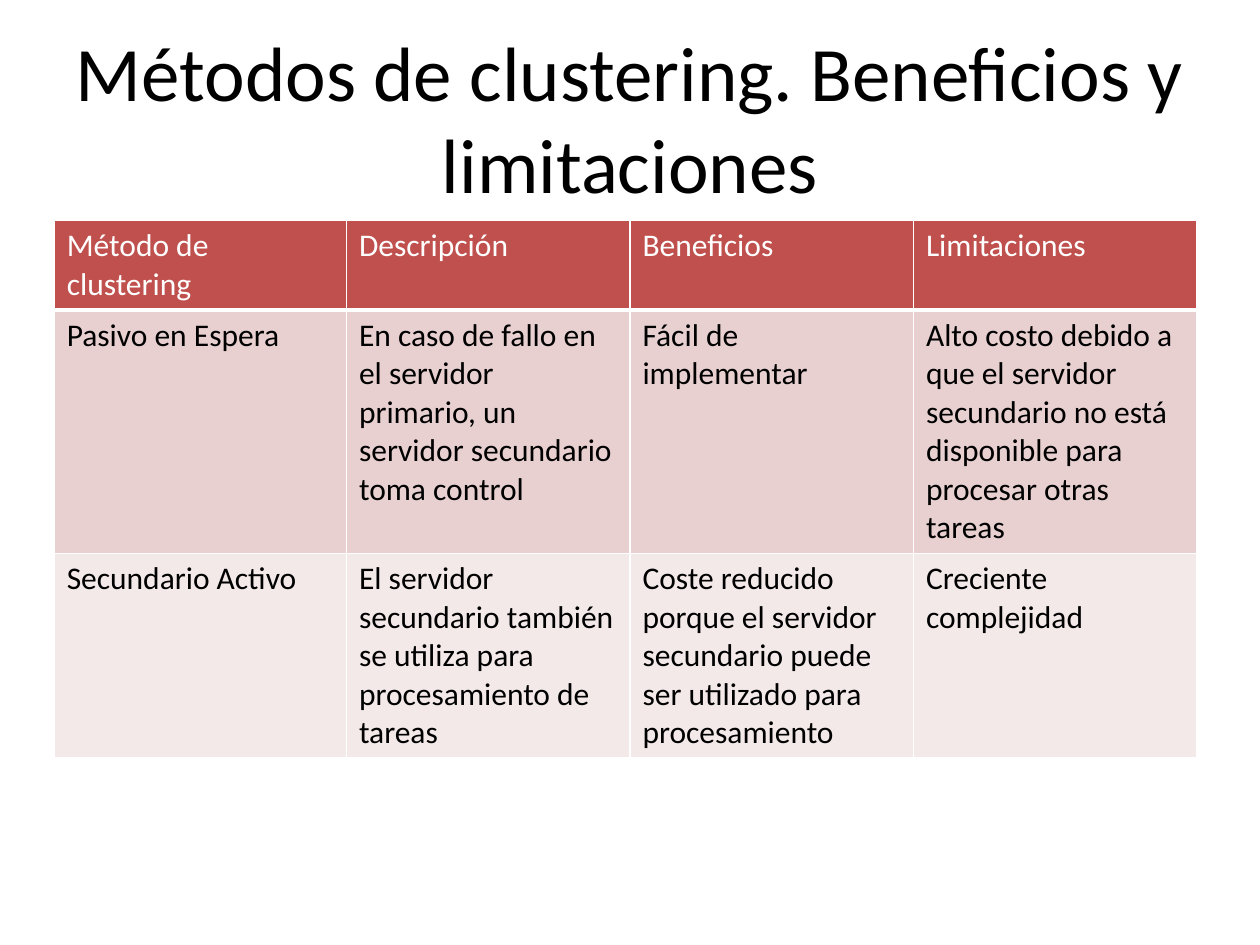
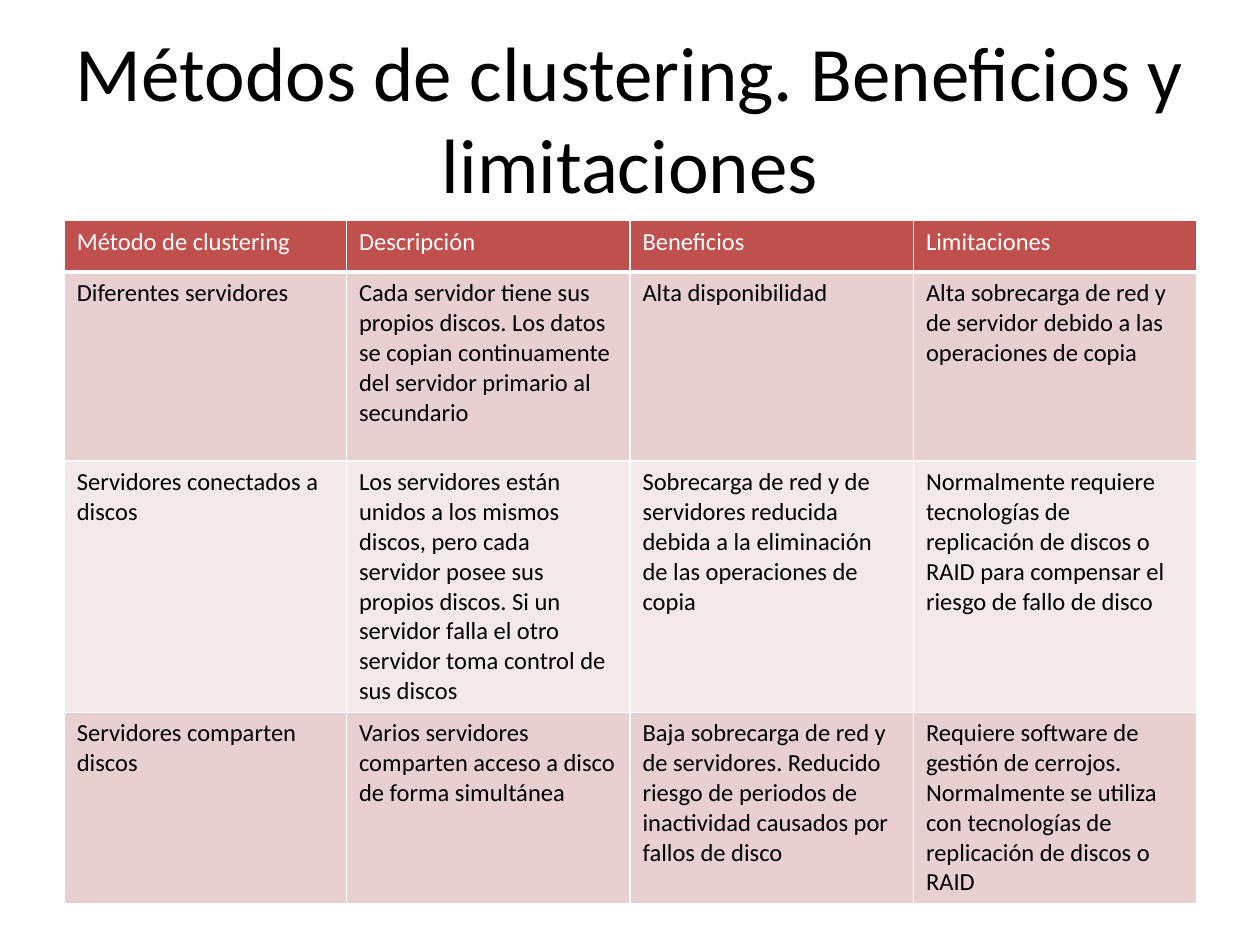
import pptx
import pptx.util
import pptx.dml.color
import pptx.enum.text
import pptx.oxml.ns
import lxml.etree

Inches, Pt = pptx.util.Inches, pptx.util.Pt

# Shared look
COLORS = {"header": "C0504D", "odd": "E8D0D0", "even": "F4E9E9",
          "white": "FFFFFF", "black": "000000"}
FONT = "Calibri"
TITLE = "Métodos de clustering. Beneficios y limitaciones"
HEADINGS = ["Método de clustering", "Descripción", "Beneficios", "Limitaciones"]
TABLE_TOP, TABLE_RIGHT, COLUMN_WIDTH = 1.75, 9.5, 2.25

# Left edge, text size, row heights and body rows of each slide's table
TABLES = [
    (0.43, 18, [0.71, 1.93, 1.62], [
        ["Pasivo en Espera",
         "En caso de fallo en el servidor primario, un servidor secundario toma control",
         "Fácil de implementar",
         "Alto costo debido a que el servidor secundario no está disponible para procesar otras tareas"],
        ["Secundario Activo",
         "El servidor secundario también se utiliza para procesamiento de tareas",
         "Coste reducido porque el servidor secundario puede ser utilizado para procesamiento",
         "Creciente complejidad"],
    ]),
    (0.51, 14, [0.41, 1.5, 1.97, 1.5], [
        ["Diferentes servidores",
         "Cada servidor tiene sus propios discos. Los datos se copian continuamente del servidor primario al secundario",
         "Alta disponibilidad",
         "Alta sobrecarga de red y de servidor debido a las operaciones de copia"],
        ["Servidores conectados a discos",
         "Los servidores están unidos a los mismos discos, pero cada servidor posee sus propios discos. Si un servidor falla el otro servidor toma control de sus discos",
         "Sobrecarga de red y de servidores reducida debida a la eliminación de las operaciones de copia",
         "Normalmente requiere tecnologías de replicación de discos o RAID para compensar el riesgo de fallo de disco"],
        ["Servidores comparten discos",
         "Varios servidores comparten acceso a disco de forma simultánea",
         "Baja sobrecarga de red y de servidores. Reducido riesgo de periodos de inactividad causados por fallos de disco",
         "Requiere software de gestión de cerrojos. Normalmente se utiliza con tecnologías de replicación de discos o RAID"],
    ]),
]


def style_text(paragraph, size, color):
    paragraph.font.name = FONT
    paragraph.font.size = Pt(size)
    paragraph.font.bold = False
    paragraph.font.color.rgb = pptx.dml.color.RGBColor.from_string(COLORS[color])


def add_borders(cell, bottom_width):
    """Draw white cell borders; they must precede the fill in the cell's XML."""
    properties = cell._tc.get_or_add_tcPr()
    qn = pptx.oxml.ns.qn
    for index, side in enumerate(["lnL", "lnR", "lnT", "lnB"]):
        width = bottom_width if side == "lnB" else 1
        line = lxml.etree.Element(qn("a:" + side), w=str(Pt(width)))
        fill = lxml.etree.SubElement(line, qn("a:solidFill"))
        lxml.etree.SubElement(fill, qn("a:srgbClr"), val=COLORS["white"])
        properties.insert(index, line)


presentation = pptx.Presentation()
presentation.slide_width = Inches(10)
presentation.slide_height = Inches(7.5)

for left, size, heights, body in TABLES:
    slide = presentation.slides.add_slide(presentation.slide_layouts[5])

    # Title
    title = slide.shapes.title
    title.left, title.top = Inches(0.5), Inches(0.3)
    title.width, title.height = Inches(9), Inches(1.25)
    title.text_frame.text = TITLE
    title.text_frame.vertical_anchor = pptx.enum.text.MSO_ANCHOR.MIDDLE
    title.text_frame.auto_size = pptx.enum.text.MSO_AUTO_SIZE.NONE
    paragraph = title.text_frame.paragraphs[0]
    paragraph.alignment = pptx.enum.text.PP_ALIGN.CENTER
    style_text(paragraph, 44, "black")

    # Table grid: the first column takes the width the others leave
    rows = [HEADINGS] + body
    table = slide.shapes.add_table(
        len(rows), len(HEADINGS), Inches(left), Inches(TABLE_TOP),
        Inches(TABLE_RIGHT - left), Inches(sum(heights))).table
    for column in table.columns:
        column.width = Inches(COLUMN_WIDTH)
    table.columns[0].width = Inches(TABLE_RIGHT - left - 3 * COLUMN_WIDTH)

    # Cells
    for row_index, texts in enumerate(rows):
        table.rows[row_index].height = Inches(heights[row_index])
        is_header = row_index == 0
        band = "header" if is_header else "odd" if row_index % 2 else "even"
        for column_index, text in enumerate(texts):
            cell = table.cell(row_index, column_index)
            cell.text = text
            cell.fill.solid()
            cell.fill.fore_color.rgb = pptx.dml.color.RGBColor.from_string(COLORS[band])
            add_borders(cell, 3 if is_header else 1)
            style_text(cell.text_frame.paragraphs[0], size,
                       "white" if is_header else "black")

presentation.save("out.pptx")
